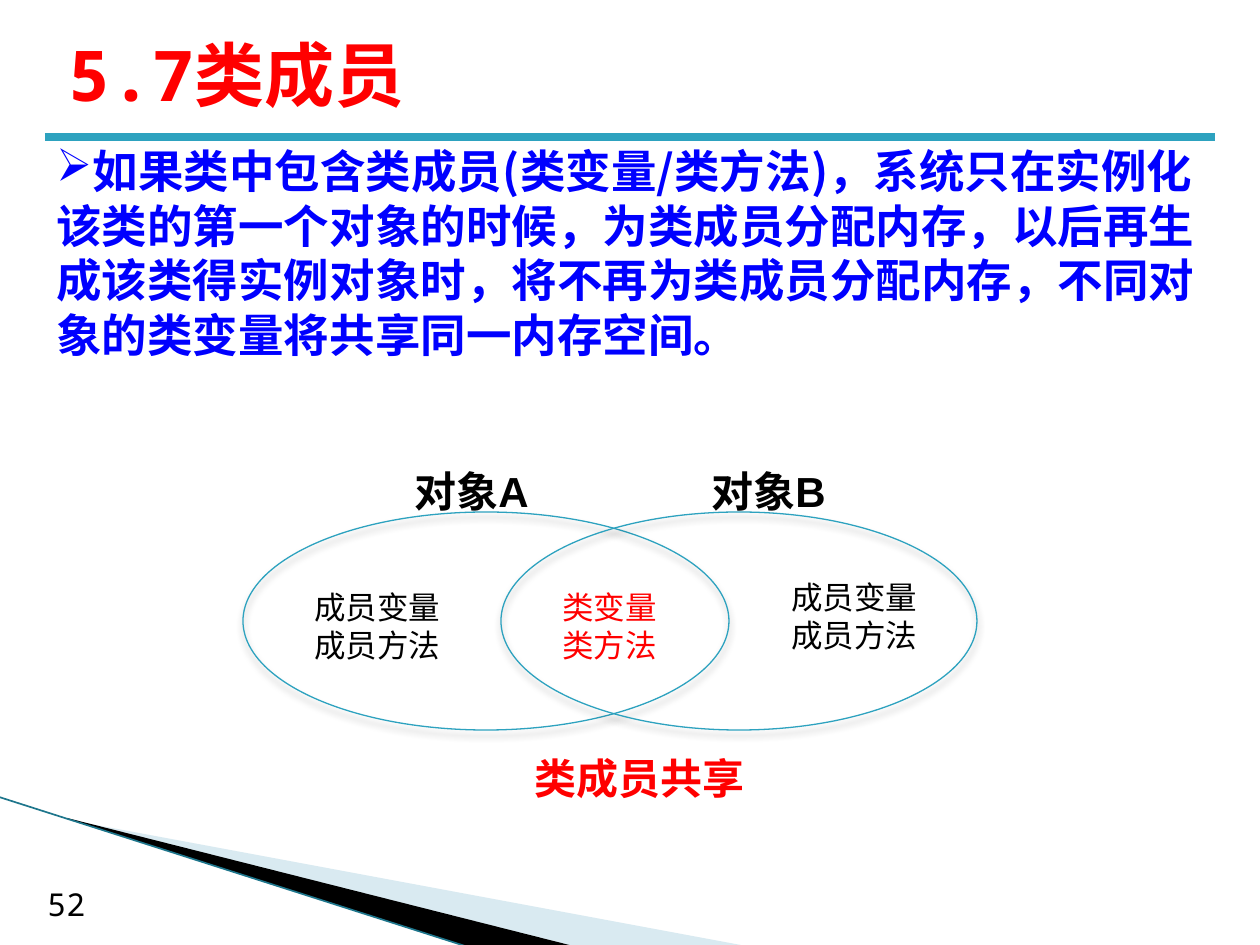
from lxml import etree
from pptx import Presentation
from pptx import util as u
from pptx.dml.color import RGBColor
from pptx.enum import shapes, text
from pptx.oxml.ns import qn

PX = 914400 // 126
RED = RGBColor(0xFF, 0, 0)
BLUE = RGBColor(0, 0, 0xFF)
BLACK = RGBColor(0, 0, 0)
TEAL = RGBColor(0x2D, 0xA2, 0xBF)
DARK_TEAL = RGBColor(0x1E, 0x76, 0x8C)
PALE = RGBColor(0xA0, 0xCB, 0xDC)
MONO, SANS, ARIAL = "Noto Sans Mono", "Noto Sans CJK SC", "Arial"
LEFT, CENTER = text.PP_ALIGN.LEFT, text.PP_ALIGN.CENTER

BODY = ("如果类中包含类成员(类变量/类方法)\uff0c系统只在实例化该类的第一个对象的时候\uff0c"
        "为类成员分配内存\uff0c以后再生成该类得实例对象时\uff0c将不再为类成员分配内存\uff0c"
        "不同对象的类变量将共享同一内存空间。")
MEMBERS = ["成员变量", "成员方法"]
SHARED = ["类变量", "类方法"]

# box in pixels, lines, size, font, colour, bold, alignment
LABELS = [
    ((302, 582, 159, 89), MEMBERS, 18, MONO, BLACK, False, LEFT),
    ((779, 572, 159, 89), MEMBERS, 18, MONO, BLACK, False, LEFT),
    ((530, 582, 159, 89), SHARED, 18, MONO, RED, False, CENTER),
    ((392, 459, 159, 63), ["对象A"], 24, ARIAL, BLACK, True, CENTER),
    ((689, 459, 159, 63), ["对象B"], 24, ARIAL, BLACK, True, CENTER),
    ((501, 746, 277, 63), ["类成员共享"], 24, SANS, RED, True, CENTER),
]
ELLIPSES = [(243, 512, 486, 218), (501, 512, 476, 218)]
WEDGES = [
    ([(69, 820), (746, 946), (573, 946), (69, 819)], PALE, 40),
    ([(67, 818), (573, 946), (469, 947), (68, 819)], BLACK, 100),
]
LINES = [((-1, 797), (468, 947), DARK_TEAL, 0.95),
         ((45, 137), (1215, 137), TEAL, 4.5)]


def px(*values):
    """Turn pixels into EMU."""
    return [round(v * PX) for v in values]


def add_wedge(points, color, opacity):
    """Draw a filled corner wedge."""
    builder = s.shapes.build_freeform(*points[0], scale=PX)
    builder.add_line_segments(points[1:])
    sp = builder.convert_to_shape()
    sp.shadow.inherit = False
    sp.fill.solid()
    sp.fill.fore_color.rgb = color
    sp.line.fill.background()
    if opacity < 100:
        clr = sp._element.spPr.find(".//" + qn("a:srgbClr"))
        etree.SubElement(clr, qn("a:alpha"), val=str(opacity * 1000))


def add_line(start, end, color, width):
    """Draw a straight line without shadow."""
    sp = s.shapes.add_connector(shapes.MSO_CONNECTOR.STRAIGHT, *px(*start, *end))
    sp.line.color.rgb = color
    sp.line.width = u.Pt(width)
    etree.SubElement(sp._element.spPr, qn("a:effectLst"))


def add_ellipse(box):
    """Draw an outlined ellipse with a soft shadow below it."""
    sp = s.shapes.add_shape(shapes.MSO_SHAPE.OVAL, *px(*box))
    sp.fill.background()
    sp.line.color.rgb = TEAL
    sp.line.width = u.Pt(0.75)
    sp.shadow.inherit = False
    effects = sp._element.spPr.find(qn("a:effectLst"))
    shadow = etree.SubElement(effects, qn("a:outerShdw"), blurRad=str(u.Pt(4)),
                              dist=str(u.Pt(3)), dir="5400000", rotWithShape="0")
    clr = etree.SubElement(shadow, qn("a:srgbClr"), val=str(BLACK))
    etree.SubElement(clr, qn("a:alpha"), val="35000")


def add_text(box, lines, size, font, color, bold=False, align=LEFT, tight=True):
    """Add a wrapped text box, one paragraph per line."""
    tf = s.shapes.add_textbox(*px(*box)).text_frame
    tf.word_wrap = True
    for i, line in enumerate(lines):
        p = tf.paragraphs[0] if i == 0 else tf.add_paragraph()
        p.alignment = align
        if tight:
            p.line_spacing = u.Pt(round(1.2 * size, 1))
        r = p.add_run()
        r.text = line
        r.font.size, r.font.name, r.font.bold = u.Pt(size), font, bold
        r.font.color.rgb = color
        etree.SubElement(r.font._element, qn("a:ea"), typeface=SANS)
    return tf


prs = Presentation()
prs.slide_width, prs.slide_height = u.Inches(10), u.Inches(7.5)
s = prs.slides.add_slide(prs.slide_layouts[6])

for wedge in WEDGES:
    add_wedge(*wedge)
for line in LINES:
    add_line(*line)
add_text((35, 879, 69, 50), ["52"], 18, MONO, BLACK, tight=False)
title = add_text((56, 20, 1134, 107), ["5.7类成员"], 40, MONO, RED, True, tight=False)
title.vertical_anchor = text.MSO_ANCHOR.MIDDLE
for box in ELLIPSES:
    add_ellipse(box)
for label in LABELS:
    add_text(*label)
body = add_text((44, 137, 1171, 233), [BODY], 26, SANS, BLUE, True)
pPr = body.paragraphs[0]._p.get_or_add_pPr()
etree.SubElement(pPr, qn("a:buFont"), typeface="Wingdings", charset="2")
etree.SubElement(pPr, qn("a:buChar"), char="Ø")

prs.save("out.pptx")
